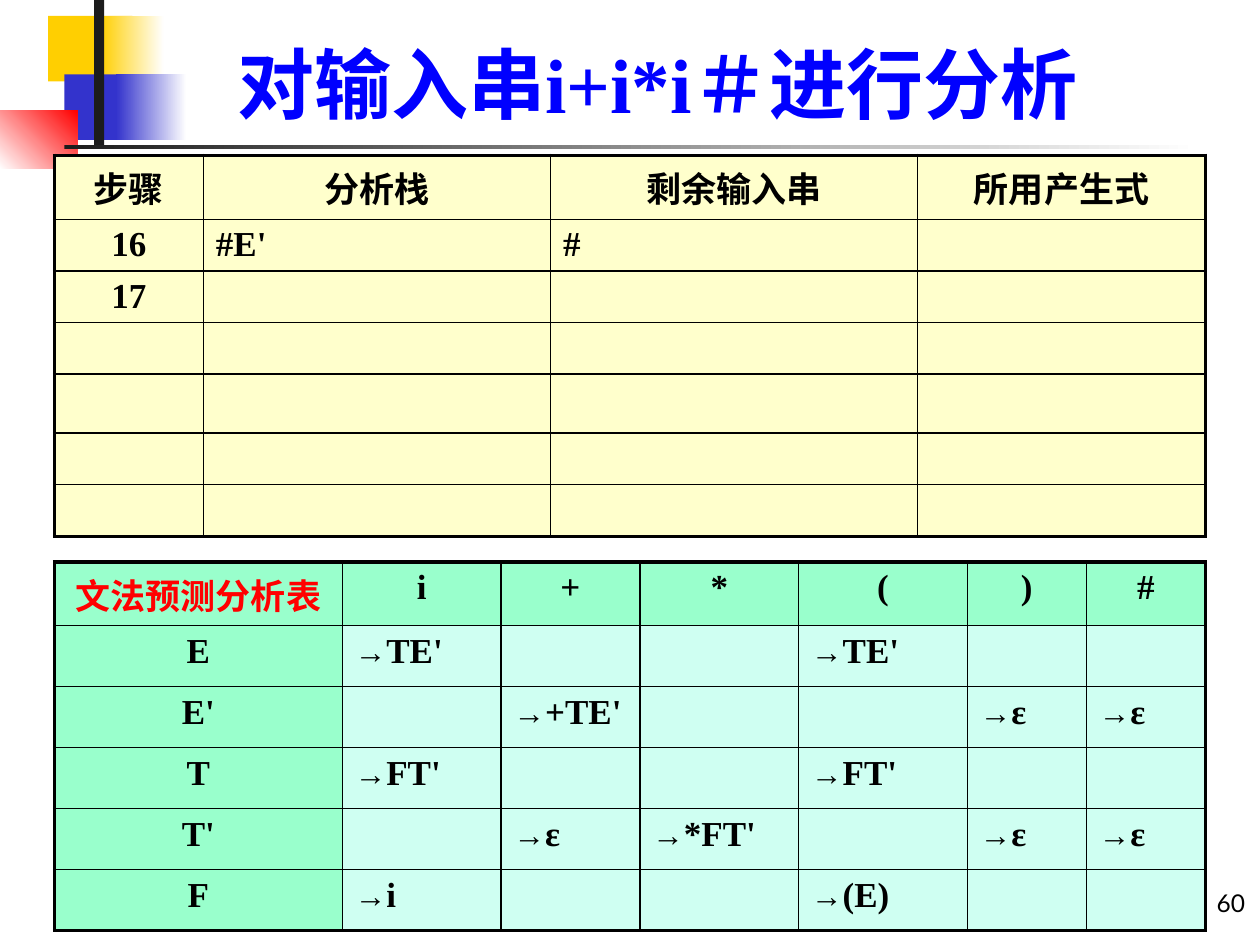
from pptx import Presentation
from pptx.dml.color import RGBColor
from pptx.enum.shapes import MSO_SHAPE as Shape
from pptx.enum.text import MSO_ANCHOR as Anchor, PP_ALIGN as Align
from pptx.oxml import parse_xml
from pptx.oxml.ns import nsdecls
from pptx.util import Cm, Pt

SERIF = "Times New Roman"
BLACK, WHITE, RED, BLUE = "000000", "FFFFFF", "FF0000", "0000FF"
GOLD, INDIGO, CHARCOAL = "FFCF01", "3333CC", "1C1C1C"
CREAM, GREEN, MINT = "FFFFCC", "99FFCC", "CFFFF2"
THIN, THICK = 1, 2.25

STEPS = [
    ["步骤", "分析栈", "剩余输入串", "所用产生式"],
    ["16", "#E'", "#", ""],
    ["17", "", "", ""],
] + [[""] * 4] * 4

PREDICTIONS = [
    ["文法预测分析表", "i", "+", "*", "(", ")", "#"],
    ["E", "→TE'", "", "", "→TE'", "", ""],
    ["E'", "", "→+TE'", "", "", "→ε", "→ε"],
    ["T", "→FT'", "", "", "→FT'", "", ""],
    ["T'", "", "→ε", "→*FT'", "", "→ε", "→ε"],
    ["F", "→i", "", "", "→(E)", "", ""],
]


def rgb(value):
    return RGBColor.from_string(value)


def add_span(para, text, font=SERIF, size=20, color=BLACK, bold=True):
    span = para.add_run()
    span.text = text
    span.font.name = font
    span.font.size = Pt(size)
    span.font.color.rgb = rgb(color)
    span.font.bold = bold


def add_block(page, left, top, width, height, color, end=None, angle=0):
    """Plain rectangle; with an end colour it becomes a gradient."""
    block = page.shapes.add_shape(
        Shape.RECTANGLE, Cm(left), Cm(top), Cm(width), Cm(height))
    block.shadow.inherit = False
    block.line.fill.background()
    if end is None:
        block.fill.solid()
        block.fill.fore_color.rgb = rgb(color)
        return
    block.fill.gradient()
    block.fill.gradient_angle = angle
    for stop, value in zip(block.fill.gradient_stops, (color, end)):
        stop.color.rgb = rgb(value)


def add_label(page, left, top, width, height, text, align, **style):
    box = page.shapes.add_textbox(Cm(left), Cm(top), Cm(width), Cm(height))
    frame = box.text_frame
    frame.word_wrap = True
    frame.vertical_anchor = Anchor.BOTTOM
    para = frame.paragraphs[0]
    para.alignment = align
    add_span(para, text, **style)


def add_borders(cell, **widths):
    props = cell._tc.get_or_add_tcPr()
    for side in "LRTB":
        props.append(parse_xml(
            f'<a:ln{side} {nsdecls("a")} w="{Pt(widths[side])}">'
            f'<a:solidFill><a:srgbClr val="{BLACK}"/></a:solidFill>'
            f'</a:ln{side}>'))


def fill_cell(cell, text, fill, align, color):
    cell.fill.solid()
    cell.fill.fore_color.rgb = rgb(fill)
    # Slim bottom margin, so that the text fits the row height
    cell.margin_bottom = Cm(0.04)
    para = cell.text_frame.paragraphs[0]
    para.alignment = align
    if text.startswith("→"):
        add_span(para, "→", size=18, color=color)
        text = text[1:]
    if text:
        add_span(para, text, color=color)


def add_grid(page, left, top, widths, heights, rows, head, body, corner=BLACK):
    """Table with a thick frame and centred first row and column."""
    table = page.shapes.add_table(
        len(rows), len(widths), Cm(left), Cm(top),
        Cm(sum(widths)), Cm(sum(heights))).table
    table.first_row = table.horz_banding = False
    for column, width in zip(table.columns, widths):
        column.width = Cm(width)
    last_row, last_column = len(rows) - 1, len(widths) - 1
    for r, (texts, height) in enumerate(zip(rows, heights)):
        table.rows[r].height = Cm(height)
        for c, text in enumerate(texts):
            cell = table.cell(r, c)
            is_head = r == 0 or c == 0
            add_borders(cell,
                        L=THICK if c == 0 else THIN,
                        R=THICK if c == last_column else THIN,
                        T=THICK if r == 0 else THIN,
                        B=THICK if r == last_row else THIN)
            fill_cell(cell, text, head if is_head else body,
                      Align.CENTER if is_head else Align.LEFT,
                      corner if r == c == 0 else BLACK)


def add_decoration(page):
    add_block(page, 0.97, 0.32, 1.7, 1.32, GOLD)
    add_block(page, 2.03, 0.32, 1.27, 1.32, GOLD, end=WHITE)
    add_block(page, 1.3, 1.5, 1.62, 1.32, INDIGO)
    add_block(page, 2.34, 1.5, 1.42, 1.32, INDIGO, end=WHITE)
    add_block(page, 0, 2.22, 1.56, 1.18, WHITE, end=RED, angle=45)
    add_block(page, 1.9, 0, 0.2, 2.92, CHARCOAL)
    add_block(page, 1.3, 2.92, 22.86, 0.08, CHARCOAL, end=WHITE)


def main():
    deck = Presentation()
    deck.slide_width, deck.slide_height = Cm(25.4), Cm(19.05)
    page = deck.slides.add_slide(deck.slide_layouts[6])

    # Corner blocks and rules
    add_decoration(page)

    # Title
    add_label(page, 3.2, 0.6, 20.1, 2.13, "对输入串i+i*i＃进行分析",
              Align.CENTER, size=44, color=BLUE)

    # Prediction table, then the analysis steps
    add_grid(page, 1.1, 11.33, [5.8, 3.2, 2.8, 3.2, 3.4, 2.4, 2.4],
             [1.28] + [1.23] * 5, PREDICTIONS, GREEN, MINT, corner=RED)
    add_grid(page, 1.1, 3.13, [3, 7, 7.4, 5.8],
             [1.29] + [1.04] * 3 + [1.19] + [1.04] * 2, STEPS, CREAM, CREAM)

    # Page number in the margin beside the table
    add_label(page, 24, 17.35, 1.35, 1.27, "60", Align.RIGHT,
              font="Lato", size=14, bold=False)

    deck.save("out.pptx")


if __name__ == "__main__":
    main()
